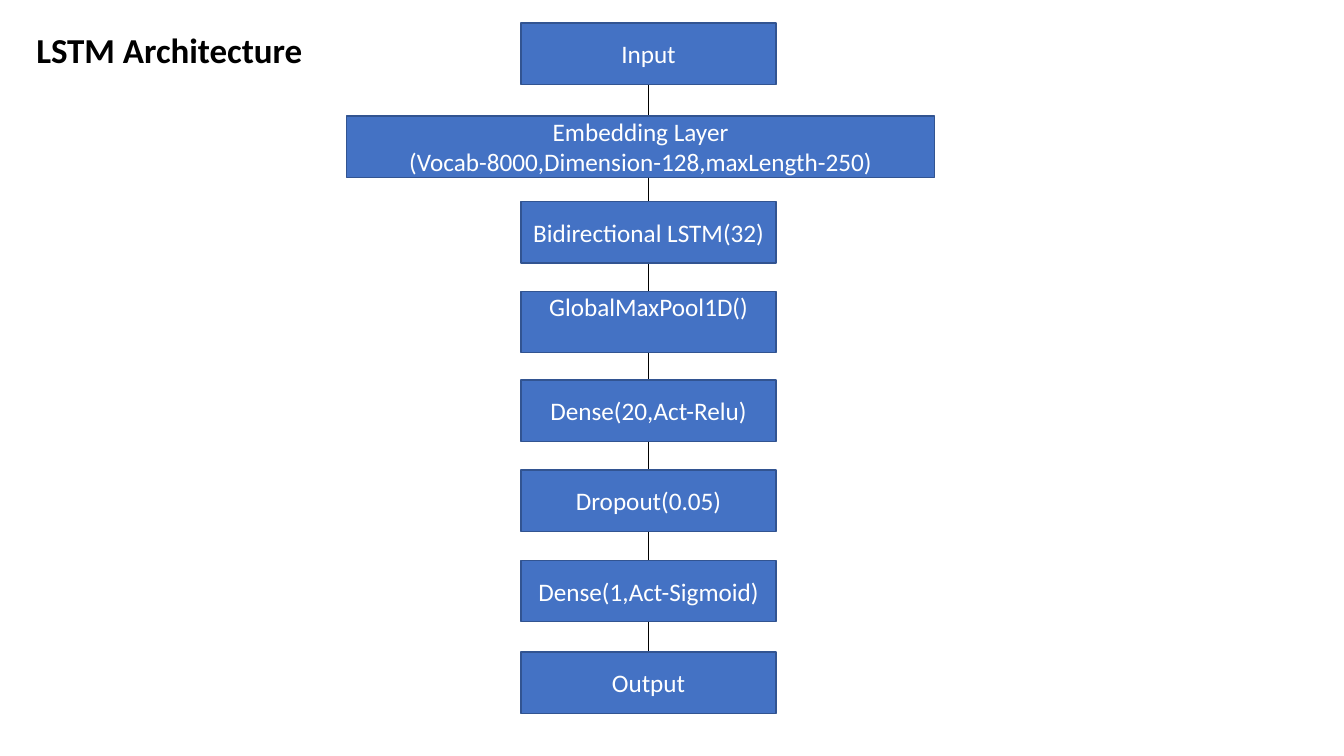
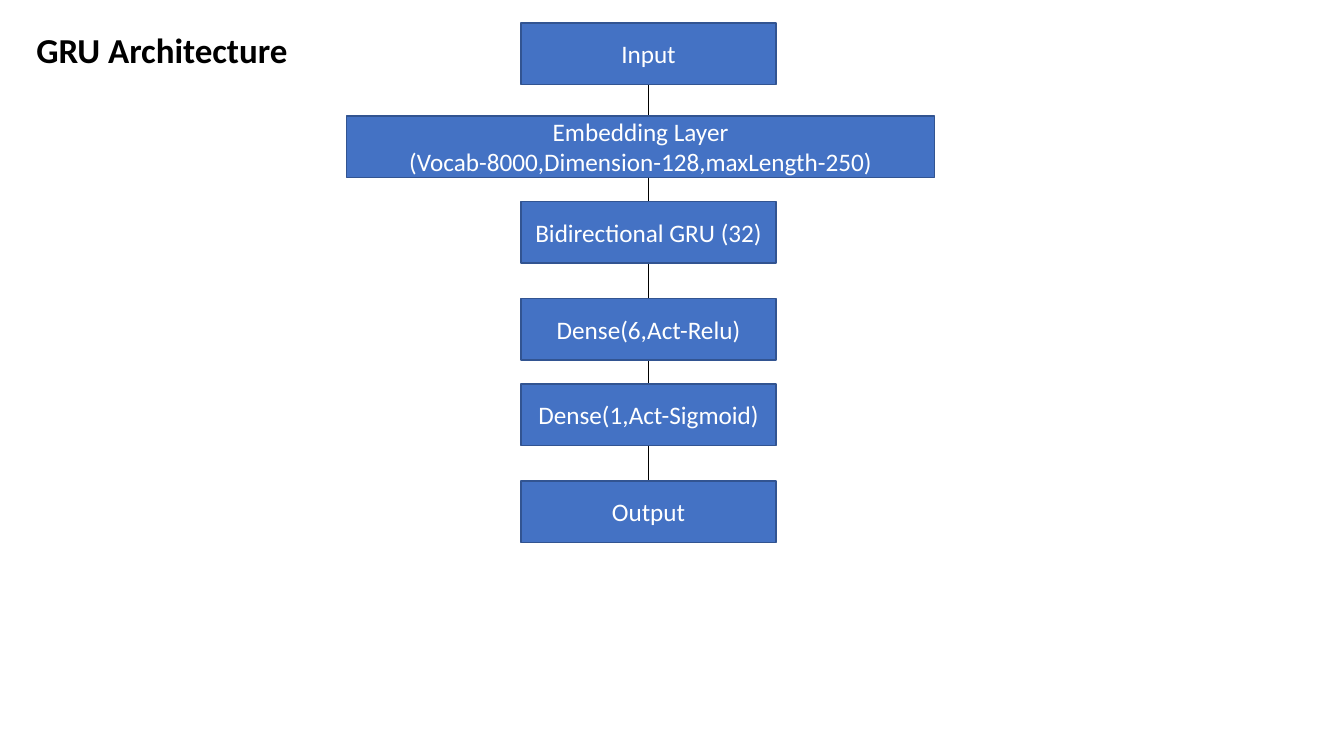
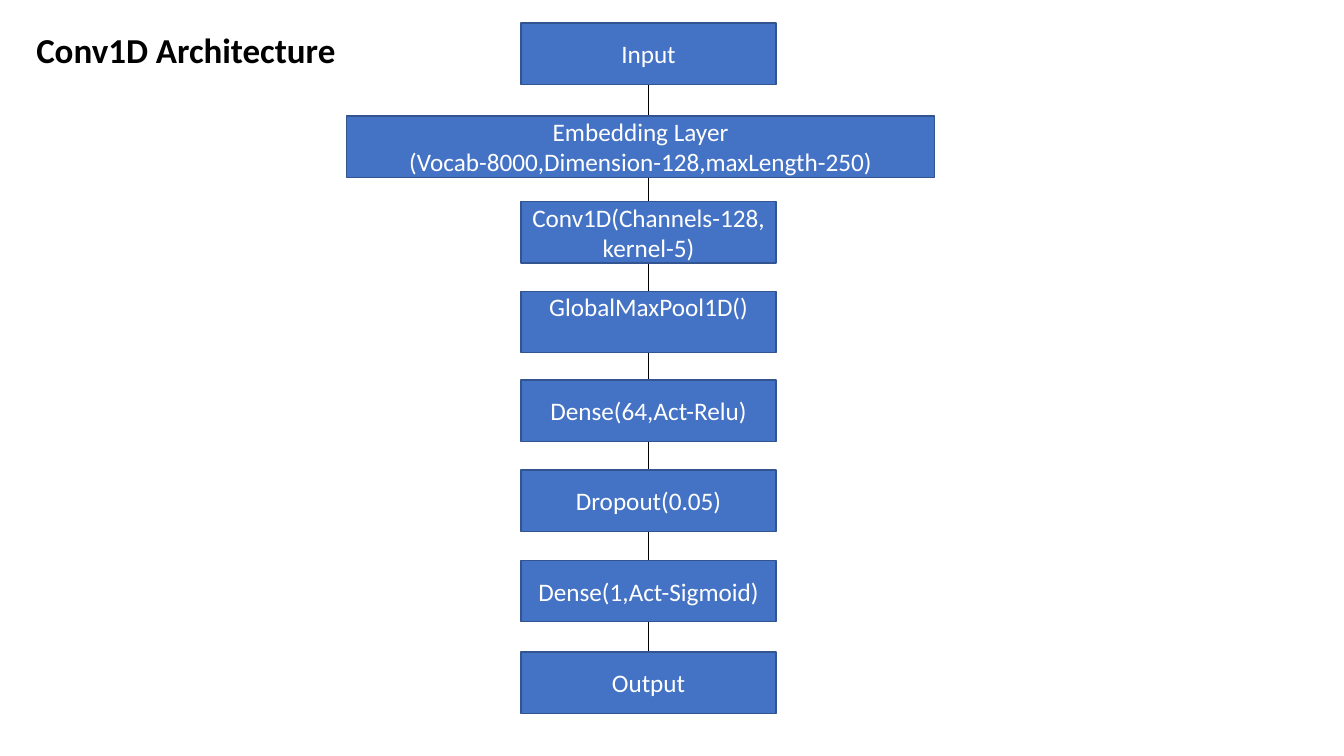
"""Build three slides that show neural network architectures as layer stacks."""

from dataclasses import dataclass

from lxml import etree
from pptx import Presentation
from pptx.dml.color import RGBColor
from pptx.enum.shapes import MSO_CONNECTOR, MSO_SHAPE
from pptx.enum.text import MSO_ANCHOR, MSO_AUTO_SIZE, PP_ALIGN
from pptx.oxml.ns import qn
from pptx.slide import Slide, SlideLayout
from pptx.text.text import TextFrame
from pptx.util import Cm, Pt

RECTANGLE = MSO_SHAPE.RECTANGLE
STRAIGHT = MSO_CONNECTOR.STRAIGHT
TOP, MIDDLE = MSO_ANCHOR.TOP, MSO_ANCHOR.MIDDLE
LEFT, CENTER = PP_ALIGN.LEFT, PP_ALIGN.CENTER
GROW = MSO_AUTO_SIZE.SHAPE_TO_FIT_TEXT
TITLE_ONLY = 5


@dataclass(frozen=True)
class Theme:
    """Colours, type sizes and line widths of the presentation."""

    font: str = "Calibri"
    title_size: Pt = Pt(25)
    layer_size: Pt = Pt(18)
    title_color: RGBColor = RGBColor(0x00, 0x00, 0x00)
    layer_color: RGBColor = RGBColor(0xFF, 0xFF, 0xFF)
    fill: RGBColor = RGBColor(0x44, 0x72, 0xC4)
    outline: RGBColor = RGBColor(0x32, 0x54, 0x91)
    spine: RGBColor = RGBColor(0x00, 0x00, 0x00)
    outline_width: Pt = Pt(1)
    spine_width: Pt = Pt(0.5)


@dataclass(frozen=True)
class Layer:
    """One box of a stack, with its horizontal place in centimetres."""

    text: str
    left: float = 13.13
    width: float = 6.43
    raised: bool = False


@dataclass(frozen=True)
class Architecture:
    """One slide: its title, its layers and their top edges in centimetres."""

    title: str
    layers: tuple[Layer, ...]
    tops: tuple[float, ...]


THEME = Theme()
LAYER_HEIGHT = 1.55
SPINE_X = 16.34

INPUT = Layer("Input")
EMBEDDING = Layer(
    "Embedding Layer (Vocab-8000,Dimension-128,maxLength-250)", left=8.74, width=14.81
)
POOLING = Layer("GlobalMaxPool1D()", raised=True)
DROPOUT = Layer("Dropout(0.05)")
SIGMOID = Layer("Dense(1,Act-Sigmoid)")
OUTPUT = Layer("Output")

HEAD_TOPS = (0.58, 2.92, 5.08)
LONG_TOPS = HEAD_TOPS + (7.34, 9.58, 11.84, 14.12, 16.43)
SHORT_TOPS = HEAD_TOPS + (7.52, 9.68, 12.12)


def long_stack(core: str, dense: str) -> tuple[Layer, ...]:
    """Return the layers of a network with pooling and dropout."""
    return (INPUT, EMBEDDING, Layer(core), POOLING, Layer(dense), DROPOUT, SIGMOID, OUTPUT)


ARCHITECTURES = (
    Architecture(
        "LSTM Architecture",
        long_stack("Bidirectional LSTM(32)", "Dense(20,Act-Relu)"),
        LONG_TOPS,
    ),
    Architecture(
        "GRU Architecture",
        (
            INPUT,
            EMBEDDING,
            Layer("Bidirectional GRU (32)"),
            Layer("Dense(6,Act-Relu)"),
            SIGMOID,
            OUTPUT,
        ),
        SHORT_TOPS,
    ),
    Architecture(
        "Conv1D Architecture",
        long_stack("Conv1D(Channels-128,kernel-5)", "Dense(64,Act-Relu)"),
        LONG_TOPS,
    ),
)


def write_text(
    text_frame: TextFrame,
    text: str,
    size: Pt,
    color: RGBColor,
    alignment: PP_ALIGN,
    bold: bool = False,
) -> None:
    """Fill a text frame with one formatted paragraph."""
    text_frame.text = text
    text_frame.word_wrap = True
    paragraph = text_frame.paragraphs[0]
    paragraph.alignment = alignment
    for run in paragraph.runs:
        run.font.name = THEME.font
        run.font.size = size
        run.font.bold = bold
        run.font.color.rgb = color


def draw_title(slide: Slide, text: str) -> None:
    """Place and format the slide title."""
    title = slide.shapes.title
    title.left, title.top = Cm(0.66), Cm(0.58)
    title.width, title.height = Cm(8.48), Cm(1.32)
    text_frame = title.text_frame
    write_text(text_frame, text, THEME.title_size, THEME.title_color, LEFT, bold=True)
    text_frame.vertical_anchor = TOP
    text_frame.auto_size = GROW


def draw_spine(slide: Slide, start: float, end: float) -> None:
    """Draw the vertical line that joins the layers."""
    spine = slide.shapes.add_connector(
        STRAIGHT, Cm(SPINE_X), Cm(start), Cm(SPINE_X), Cm(end)
    )
    spine.line.color.rgb = THEME.spine
    spine.line.width = THEME.spine_width
    etree.SubElement(spine._element.spPr, qn("a:effectLst"))


def draw_layer(slide: Slide, layer: Layer, top: float) -> None:
    """Draw one layer box with its label."""
    box = slide.shapes.add_shape(
        RECTANGLE, Cm(layer.left), Cm(top), Cm(layer.width), Cm(LAYER_HEIGHT)
    )
    box.shadow.inherit = False
    box.fill.solid()
    box.fill.fore_color.rgb = THEME.fill
    box.line.color.rgb = THEME.outline
    box.line.width = THEME.outline_width
    text_frame = box.text_frame
    write_text(text_frame, layer.text, THEME.layer_size, THEME.layer_color, CENTER)
    text_frame.vertical_anchor = TOP if layer.raised else MIDDLE
    if layer.raised:
        text_frame.margin_top = Cm(0)


def draw_architecture(
    presentation: Presentation, layout: SlideLayout, architecture: Architecture
) -> None:
    """Add one slide with a title and a stack of layers."""
    slide = presentation.slides.add_slide(layout)
    draw_title(slide, architecture.title)
    tops = architecture.tops
    draw_spine(slide, tops[0] + LAYER_HEIGHT, tops[-1])
    for layer, top in zip(architecture.layers, tops):
        draw_layer(slide, layer, top)


def main() -> None:
    """Build and save the presentation."""
    presentation = Presentation()
    presentation.slide_width, presentation.slide_height = Cm(33.87), Cm(19.05)
    layout = presentation.slide_layouts[TITLE_ONLY]
    for architecture in ARCHITECTURES:
        draw_architecture(presentation, layout, architecture)
    presentation.save("out.pptx")


main()
